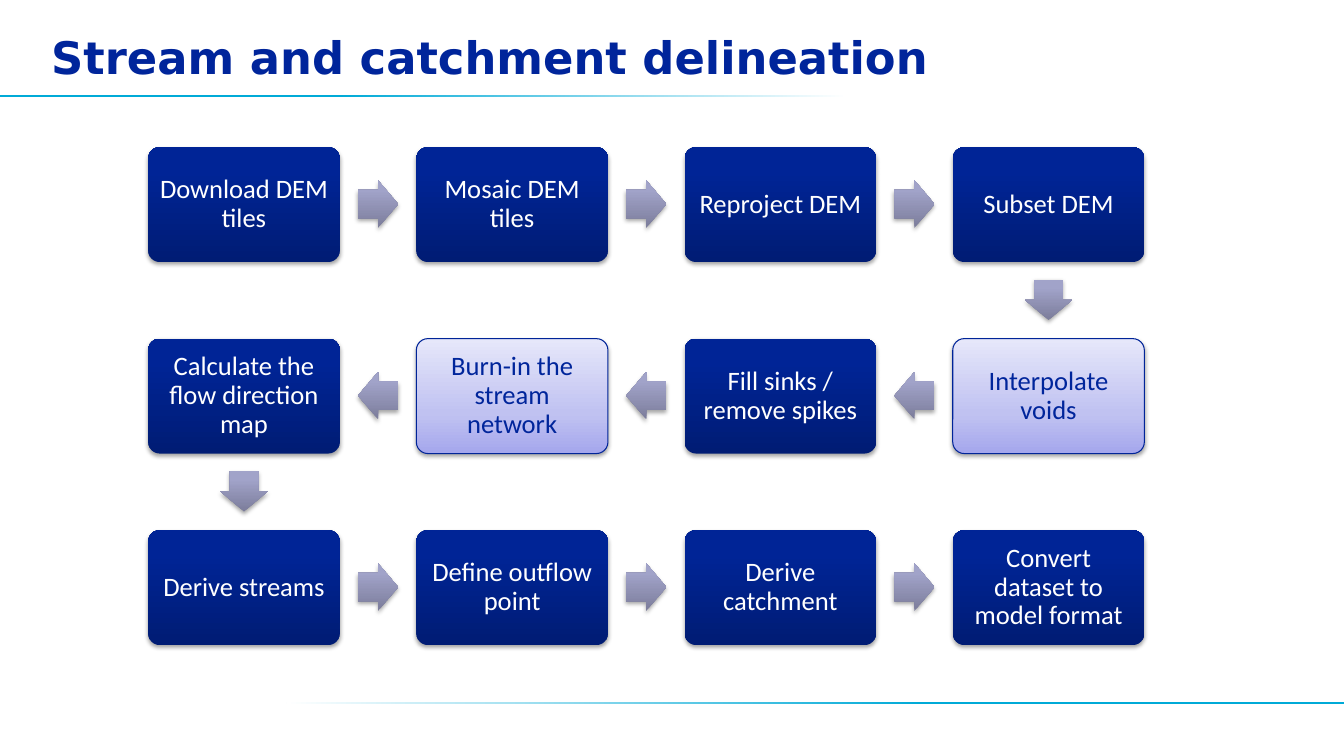
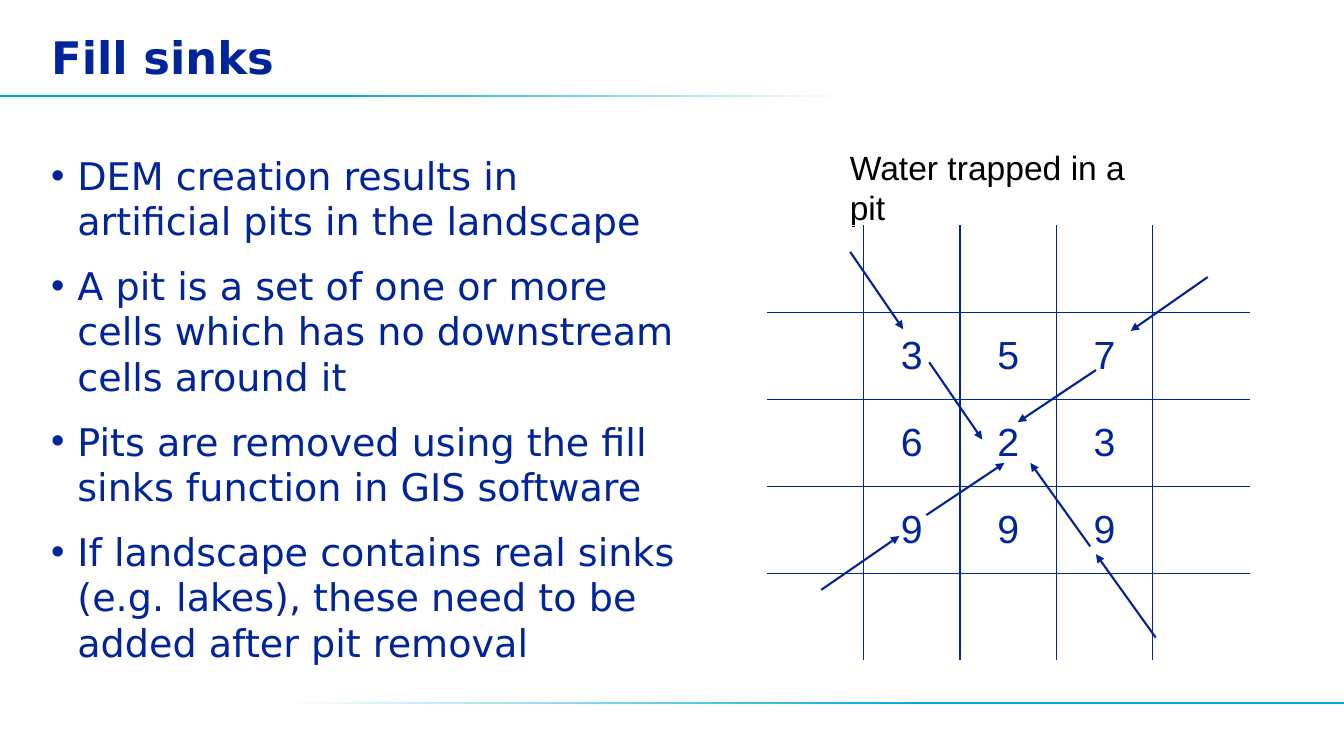
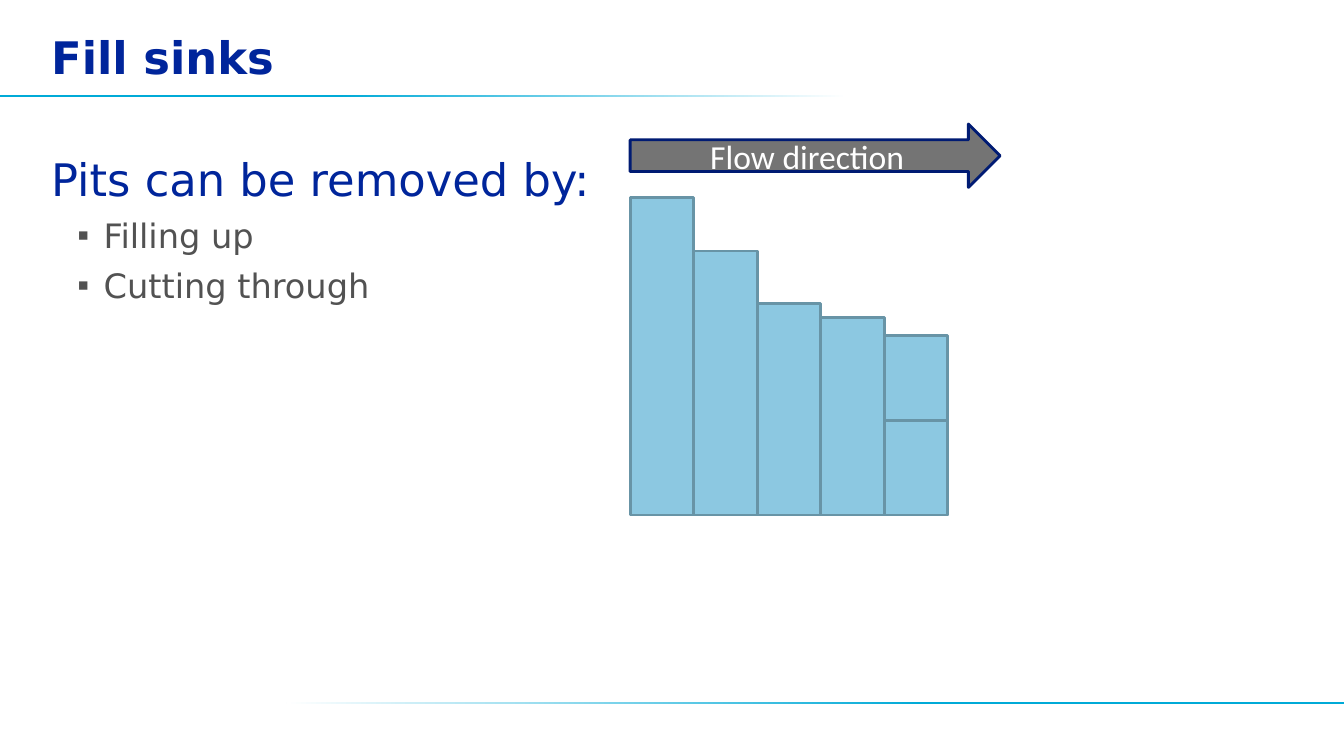
from lxml.etree import SubElement
from pptx import Presentation
from pptx.dml.color import RGBColor
from pptx.enum.shapes import MSO_CONNECTOR, MSO_SHAPE
from pptx.enum.text import MSO_ANCHOR, PP_ALIGN
from pptx.oxml import parse_xml
from pptx.oxml.ns import nsdecls, qn
from pptx.util import Inches, Pt

# Shared look
WIDE, HIGH = 13.33, 7.5
NAVY, INK, WHITE, GREY = "00259B", "002498", "FFFFFF", "525252"
HEAD, BODY, SANS = "DejaVu Sans", "Calibri", "Arial"
BAND = [(0, "00AAD7"), (40, "00AAD7"), (100, WHITE)]
DARK = [(0, "001C74"), (80, "002496"), (100, "002497")]
PALE = [(0, "A5A7ED"), (35, "C0C2F1"), (100, "E6E7FA")]
MAUVE = [(0, "7C7D9B"), (80, "A1A3C9"), (100, "A1A3CB")]
LEFT, TOP = 0.41, 1.46

# Slide 1: steps in reading order of the flow, True for optional ones
STEPS = [
    ("Download DEM tiles", False), ("Mosaic DEM tiles", False),
    ("Reproject DEM", False), ("Subset DEM", False),
    ("Interpolate voids", True), ("Fill sinks / remove spikes", False),
    ("Burn-in the stream network", True),
    ("Calculate the flow direction map", False),
    ("Derive streams", False), ("Define outflow point", False),
    ("Derive catchment", False), ("Convert dataset to model format", False),
]

# Slide 2: bullets, heights of the cells, water paths in columns and rows
PITS = [
    "DEM creation results in artificial pits in the landscape",
    "A pit is a set of one or more cells which has no downstream cells "
    "around it",
    "Pits are removed using the fill sinks function in GIS software",
    "If landscape contains real sinks (e.g. lakes), these need to be added "
    "after pit removal",
]
CELLS = ["     ", " 357 ", " 623 ", " 999 ", "     "]
PATHS = [
    (0.56, 4.19, 1.37, 3.57), (1.65, 3.33, 2.46, 2.73),
    (4.03, 4.74, 3.41, 3.78), (3.35, 3.69, 2.73, 2.73),
    (0.86, 0.30, 1.41, 1.19), (1.68, 1.57, 2.23, 2.46),
    (4.57, 0.59, 3.77, 1.21), (3.41, 1.66, 2.60, 2.26),
]

# Slide 3: ways to remove pits, and bars as (column, height)
WAYS = ["Filling up", "Cutting through"]
BARS = [(0, 3.15), (1, 2.62), (2, 2.1), (3, 1.36), (4, 1.78), (3, 1.96),
        (4, 0.94)]


def color(code):
    return RGBColor.from_string(code)


def blend(shape, stops, angle):
    """Fill with a linear gradient that does not turn with the shape."""
    shape.fill.background()
    old = shape.element.spPr.find(qn("a:noFill"))
    marks = "".join(
        f'<a:gs pos="{pos * 1000}"><a:srgbClr val="{code}"/></a:gs>'
        for pos, code in stops)
    new = parse_xml(
        f'<a:gradFill {nsdecls("a")} rotWithShape="0"><a:gsLst>{marks}'
        f'</a:gsLst><a:lin ang="{angle * 60000}" scaled="0"/></a:gradFill>')
    shape.element.spPr.replace(old, new)


def shade(shape):
    effect = shape.element.spPr.find(qn("a:effectLst"))
    effect.append(parse_xml(
        f'<a:outerShdw {nsdecls("a")} blurRad="{Pt(3.1)}" dist="{Pt(1.8)}" '
        'dir="5400000" rotWithShape="0"><a:srgbClr val="000000">'
        '<a:alpha val="35000"/></a:srgbClr></a:outerShdw>'))


def draw(slide, kind, box, fill, line=None, width=2, angle=270):
    """Add a preset shape; fill is one colour or a list of stops."""
    shape = slide.shapes.add_shape(kind, *map(Inches, box))
    shape.shadow.inherit = False
    if isinstance(fill, list):
        blend(shape, fill, angle)
    else:
        shape.fill.solid()
        shape.fill.fore_color.rgb = color(fill)
    if line:
        shape.line.color.rgb = color(line)
        shape.line.width = Pt(width)
    else:
        shape.line.fill.background()
    return shape


def write(para, text, size, font, code, bold=False):
    run = para.add_run()
    run.text = text
    run.font.size, run.font.name, run.font.bold = Pt(size), font, bold
    run.font.color.rgb = color(code)


def frame(slide, box, anchor=MSO_ANCHOR.TOP):
    area = slide.shapes.add_textbox(*map(Inches, box)).text_frame
    area.word_wrap = True
    area.vertical_anchor = anchor
    return area


def center(area, text, size, font, code):
    area.word_wrap = True
    area.vertical_anchor = MSO_ANCHOR.MIDDLE
    para = area.paragraphs[0]
    para.alignment = PP_ALIGN.CENTER
    write(para, text, size, font, code)
    return para


def bullet(para, mark, level=0):
    props = para._p.get_or_add_pPr()
    props.set("marL", str(Inches(0.26 * (level + 1))))
    props.set("indent", str(Inches(-0.26)))
    SubElement(props, qn("a:buFont")).set("typeface", SANS)
    SubElement(props, qn("a:buChar")).set("char", mark)
    para.level = level


def start(deck, title):
    """Add a slide with its title and the two fading bands."""
    slide = deck.slides.add_slide(deck.slide_layouts[6])
    for box, angle in (((2.84, 6.96, 10.5, 0.02), 180),
                       ((0, 0.94, 8.4, 0.02), 0)):
        draw(slide, MSO_SHAPE.RECTANGLE, box, BAND, angle=angle)
    area = frame(slide, (LEFT, 0.16, 10.5, 0.72), MSO_ANCHOR.BOTTOM)
    para = area.paragraphs[0]
    para.line_spacing = Pt(37.3)
    write(para, title, 32, HEAD, NAVY, True)
    return slide


def flow(deck):
    slide = start(deck, "Stream and catchment delineation")
    wide, high, cols = 1.9, 1.14, 4
    spots = []
    for i in range(len(STEPS)):
        row, col = divmod(i, cols)
        if row % 2:
            col = cols - 1 - col
        spots.append((1.47 + 1.4 * wide * col, TOP + wide * row))
    # Boxes
    for (text, extra), (x, y) in zip(STEPS, spots):
        box = draw(slide, MSO_SHAPE.ROUNDED_RECTANGLE, (x, y, wide, high),
                   PALE if extra else DARK, INK if extra else None, 0.75)
        box.adjustments[0] = 0.1
        shade(box)
        area = box.text_frame
        area.margin_left = area.margin_right = Inches(0.08)
        area.margin_top = area.margin_bottom = Inches(0.08)
        para = center(area, text, 19, BODY, NAVY if extra else WHITE)
        para.line_spacing = 0.9
    # Arrows halfway between neighbours
    for (x, y), (to_x, to_y) in zip(spots, spots[1:]):
        mid_x, mid_y = (x + to_x + wide) / 2, (y + to_y + high) / 2
        arrow = draw(slide, MSO_SHAPE.RIGHT_ARROW,
                     (mid_x - 0.2, mid_y - 0.24, 0.4, 0.47), MAUVE)
        arrow.adjustments[0] = 0.6
        arrow.rotation = 90 if to_y > y else 180 if to_x < x else 0
        shade(arrow)


def border(cell, sides):
    props = cell._tc.get_or_add_tcPr()
    for side, code in sides:
        props.append(parse_xml(
            f'<a:ln{side} {nsdecls("a")} w="{Pt(1)}"><a:solidFill>'
            f'<a:srgbClr val="{code}"/></a:solidFill></a:ln{side}>'))


def pit(deck):
    slide = start(deck, "Fill sinks")
    area = frame(slide, (LEFT, TOP, 6.4, 4.95))
    for i, text in enumerate(PITS):
        para = area.add_paragraph() if i else area.paragraphs[0]
        bullet(para, "•")
        para.space_before = Pt(13.3 if i else 0)
        write(para, text, 27.2, HEAD, NAVY)
    note = frame(slide, (8.33, 1.41, 3.21, 0.5))
    write(note.paragraphs[0], "Water trapped in a pit", 24, SANS, "000000")
    # Height grid, open at its outer edge
    x, y, wide, high = 7.61, 2.24, 4.78, 4.31
    count = len(CELLS)
    last = count - 1
    grid = slide.shapes.add_table(
        count, count, *map(Inches, (x, y, wide, high))).table
    grid.first_row = grid.horz_banding = False
    for row, line in enumerate(CELLS):
        for col, text in enumerate(line):
            cell = grid.cell(row, col)
            edges = (("L", col == 0), ("R", col == last),
                     ("T", row == 0), ("B", row == last))
            border(cell, [(s, WHITE if out else NAVY) for s, out in edges])
            cell.fill.background()
            cell.vertical_anchor = MSO_ANCHOR.MIDDLE
            if text.strip():
                para = cell.text_frame.paragraphs[0]
                para.alignment = PP_ALIGN.CENTER
                write(para, text, 28, SANS, NAVY)
    # Water paths
    for a, b, c, d in PATHS:
        ends = (x + a * wide / count, y + b * high / count,
                x + c * wide / count, y + d * high / count)
        path = slide.shapes.add_connector(MSO_CONNECTOR.STRAIGHT,
                                          *map(Inches, ends))
        path.line.color.rgb = color(INK)
        path.line.width = Pt(1.5)
        SubElement(path.line._get_or_add_ln(),
                   qn("a:tailEnd")).set("type", "triangle")
        SubElement(path.element.spPr, qn("a:effectLst"))


def bars(deck):
    slide = start(deck, "Fill sinks")
    area = frame(slide, (LEFT, TOP, 12, 4.95))
    write(area.paragraphs[0], "Pits can be removed by:", 32, HEAD, NAVY)
    for text in WAYS:
        para = area.add_paragraph()
        bullet(para, "▪", 1)
        para.space_before = Pt(6.7)
        write(para, text, 24, HEAD, GREY)
    # Terrain profile on one base line
    left, base, step = 6.25, 5.11, 0.63
    for col, high in BARS:
        draw(slide, MSO_SHAPE.RECTANGLE,
             (left + col * step, base - high, step, high), "8CC8E1", "6894A6")
    arrow = draw(slide, MSO_SHAPE.RIGHT_ARROW, (left, 1.23, 3.67, step),
                 "747474", "001B73")
    center(arrow.text_frame, "Flow direction", 24, BODY, WHITE)


def main():
    deck = Presentation()
    deck.slide_width, deck.slide_height = Inches(WIDE), Inches(HIGH)
    for build in (flow, pit, bars):
        build(deck)
    deck.save("out.pptx")


if __name__ == "__main__":
    main()
